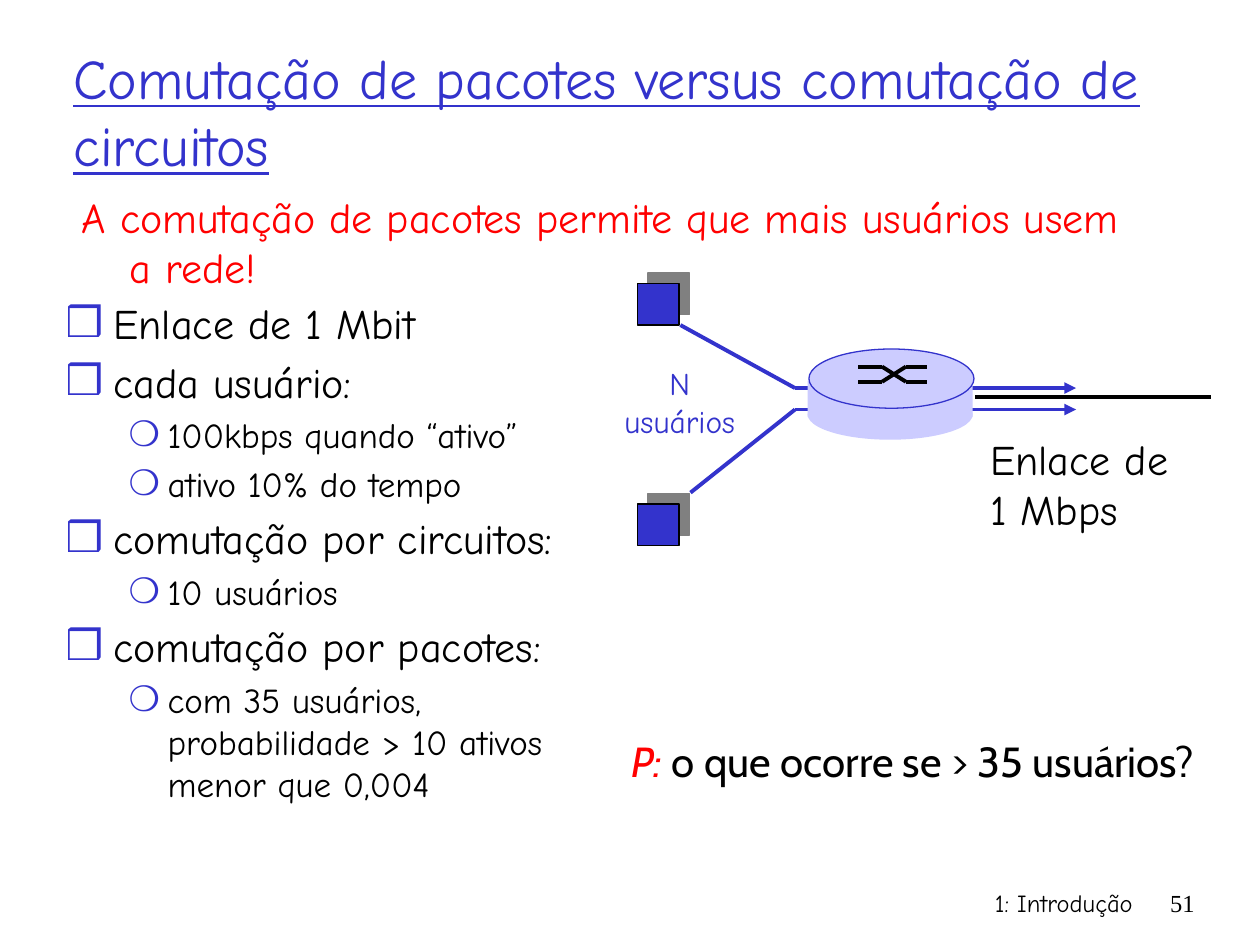
from pptx import Presentation
from pptx.dml.color import RGBColor
from pptx.enum import shapes, text
from pptx.oxml import parse_xml
from pptx.oxml.ns import nsdecls
from pptx.util import Inches, Pt

THEME = {
    "font": "Comic Neue", "question_font": "Cabin", "number_font": "Times New Roman",
    "blue": "3333CC", "pale": "CCCCFF", "red": "FF0000", "black": "000000", "gray": "808080",
    "title": 32, "main": 24, "detail": 20, "label": 18, "footer": 14,
    "line": 2.25, "outline": 0.75,
}

TITLE = "Comutação de pacotes versus comutação de circuitos"
INTRO = "A comutação de pacotes permite que mais usuários usem a rede!"
TOPICS = [
    (0, "Enlace de 1 Mbit"),
    (0, "cada usuário:"),
    (1, "100kbps quando “ativo”"),
    (1, "ativo 10% do tempo"),
    (0, "comutação por circuitos:"),
    (1, "10 usuários"),
    (0, "comutação por pacotes:"),
    (1, "com 35 usuários, probabilidade > 10 ativos menor que 0,004"),
]
# bullet, left margin, hanging indent, space before, type size
LEVELS = [
    ("❒", 0.38, 0.38, 4.8, "main"),
    ("❍", 0.81, 0.31, 4, "detail"),
]
# box, lines of (text, font, colour, italic) runs, size, alignment
LABELS = [
    ((5.92, 7, 3.17, 0.5), [[("1: Introdução", "font", "black", False)]], "footer", "RIGHT"),
    ((9.08, 7, 0.5, 0.5), [[("51", "number_font", "black", False)]], "footer", "RIGHT"),
    ((4.82, 2.84, 1.15, 0.7),
     [[("N", "font", "blue", False)], [("usuários", "font", "blue", False)]], "label", "CENTER"),
    ((7.76, 3.39, 1.68, 0.9),
     [[("Enlace de", "font", "black", False)], [("1 Mbps", "font", "black", False)]],
     "main", "LEFT"),
    ((4.91, 5.79, 5.21, 0.9),
     [[("P:", "question_font", "red", True),
       (" o que ocorre se > 35 usuários?", "question_font", "black", False)]], "main", "LEFT"),
]

HOST_SIZE, HOST_LEFT, HOST_TOPS = 0.33, 5.06, (2.25, 4)
LINK_START, LINK_END, LINK_TOP, LINK_BOTTOM = 6.31, 8.54, 3.08, 3.25
ACCESS_LINES = [
    (5.4, 2.58, LINK_START, LINK_TOP),
    (5.48, 3.91, LINK_START, LINK_BOTTOM),
]
OUTPUT_LINE = (7.74, 3.15, 9.61, 3.15)
ROUTER_PARTS = [
    ("OVAL", (6.41, 3.09, 1.31, 0.4), None),
    ("RECTANGLE", (6.41, 3.02, 1.31, 0.29), None),
    ("OVAL", (6.42, 2.77, 1.31, 0.47), "blue"),
]
SWITCH_X, SWITCH_Y = (6.81, 7.0, 7.19, 7.36), (2.91, 3.03)


def color(name):
    return RGBColor.from_string(THEME[name])


def inches(values):
    return [Inches(value) for value in values]


def add_span(para, content, size, ink, font="font", italic=False):
    span = para.add_run()
    span.text = content
    span.font.name = THEME[font]
    span.font.size = Pt(THEME[size])
    span.font.color.rgb = color(ink)
    span.font.italic = italic
    return span


def place(holder, box):
    """Move a placeholder and clear its insets; return its text frame."""
    holder.left, holder.top, holder.width, holder.height = inches(box)
    frame = holder.text_frame
    frame.margin_left = frame.margin_right = frame.margin_top = frame.margin_bottom = 0
    frame.word_wrap = True
    frame.auto_size = text.MSO_AUTO_SIZE.NONE
    return frame


def format_item(para, margin, hanging, before, bullet=None):
    properties = para._p.get_or_add_pPr()
    properties.set("marL", str(Inches(margin)))
    properties.set("indent", str(-Inches(hanging)))
    if bullet:
        properties.append(parse_xml(
            f'<a:buClr {nsdecls("a")}><a:srgbClr val="{THEME["blue"]}"/></a:buClr>'))
        properties.append(parse_xml(f'<a:buChar {nsdecls("a")} char="{bullet}"/>'))
    else:
        properties.append(parse_xml(f'<a:buNone {nsdecls("a")}/>'))
    para.space_before = Pt(before)


def add_label(page, box, lines, size, alignment):
    frame = page.shapes.add_textbox(*inches(box)).text_frame
    frame.word_wrap = True
    for index, spans in enumerate(lines):
        para = frame.add_paragraph() if index else frame.paragraphs[0]
        para.alignment = getattr(text.PP_ALIGN, alignment)
        for content, font, ink, italic in spans:
            add_span(para, content, size, ink, font, italic)


def add_filled(parent, kind, box, fill, outline):
    shape = parent.shapes.add_shape(getattr(shapes.MSO_SHAPE, kind), *inches(box))
    shape.shadow.inherit = False
    shape.fill.solid()
    shape.fill.fore_color.rgb = color(fill)
    if outline:
        shape.line.color.rgb = color(outline)
        shape.line.width = Pt(THEME["outline"])
    else:
        shape.line.fill.background()
    return shape


def add_line(parent, ends, ink, arrow=False):
    line = parent.shapes.add_connector(shapes.MSO_CONNECTOR.STRAIGHT, *inches(ends))
    line.line.color.rgb = color(ink)
    line.line.width = Pt(THEME["line"])
    if arrow:
        line.line._get_or_add_ln().append(
            parse_xml(f'<a:tailEnd {nsdecls("a")} type="triangle"/>'))
    line._element.spPr.append(parse_xml(f'<a:effectLst {nsdecls("a")}/>'))


def add_host(page, top):
    host = add_filled(page, "RECTANGLE", (HOST_LEFT, top, HOST_SIZE, HOST_SIZE), "blue", "black")
    host._element.spPr.find(".//{*}effectLst").append(parse_xml(
        f'<a:outerShdw {nsdecls("a")} blurRad="0" dist="{Pt(8.4)}" dir="{315 * 60000}" '
        f'algn="ctr" rotWithShape="0"><a:srgbClr val="{THEME["gray"]}"/></a:outerShdw>'))


def add_router(page):
    router = page.shapes.add_group_shape()
    for kind, box, outline in ROUTER_PARTS:
        add_filled(router, kind, box, "pale", outline)
    left, cross_left, cross_right, right = SWITCH_X
    for y, opposite in (SWITCH_Y, SWITCH_Y[::-1]):
        add_line(router, (left, y, cross_left, y), "black")
        add_line(router, (cross_left, y, cross_right, opposite), "black")
        add_line(router, (cross_right, y, right, y), "black")


def main():
    deck = Presentation()
    deck.slide_width, deck.slide_height = Inches(10), Inches(7.5)
    page = deck.slides.add_slide(deck.slide_layouts.get_by_name("Two Content"))
    title, topics, intro = page.placeholders

    frame = place(title, (0.58, 0.25, 8.75, 1.25))
    frame.vertical_anchor = text.MSO_ANCHOR.MIDDLE
    frame.paragraphs[0].alignment = text.PP_ALIGN.LEFT
    add_span(frame.paragraphs[0], TITLE, "title", "blue").font.underline = True

    frame = place(topics, (0.52, 2.36, 4.48, 5.08))
    for index, (level, content) in enumerate(TOPICS):
        para = frame.add_paragraph() if index else frame.paragraphs[0]
        para.level = level
        bullet, margin, hanging, before, size = LEVELS[level]
        format_item(para, margin, hanging, before if index else 0, bullet)
        add_span(para, content, size, "black")

    para = place(intro, (0.65, 1.52, 8.33, 0.67)).paragraphs[0]
    format_item(para, 0.38, 0.38, 0)
    add_span(para, INTRO, "main", "red")

    for top in HOST_TOPS:
        add_host(page, top)
    for ends in ACCESS_LINES:
        add_line(page, ends, "blue")
    for y in (LINK_TOP, LINK_BOTTOM):
        add_line(page, (LINK_START, y, LINK_END, y), "blue", arrow=True)
    add_router(page)
    add_line(page, OUTPUT_LINE, "black")
    for label in LABELS:
        add_label(page, *label)

    deck.save("out.pptx")


if __name__ == "__main__":
    main()
